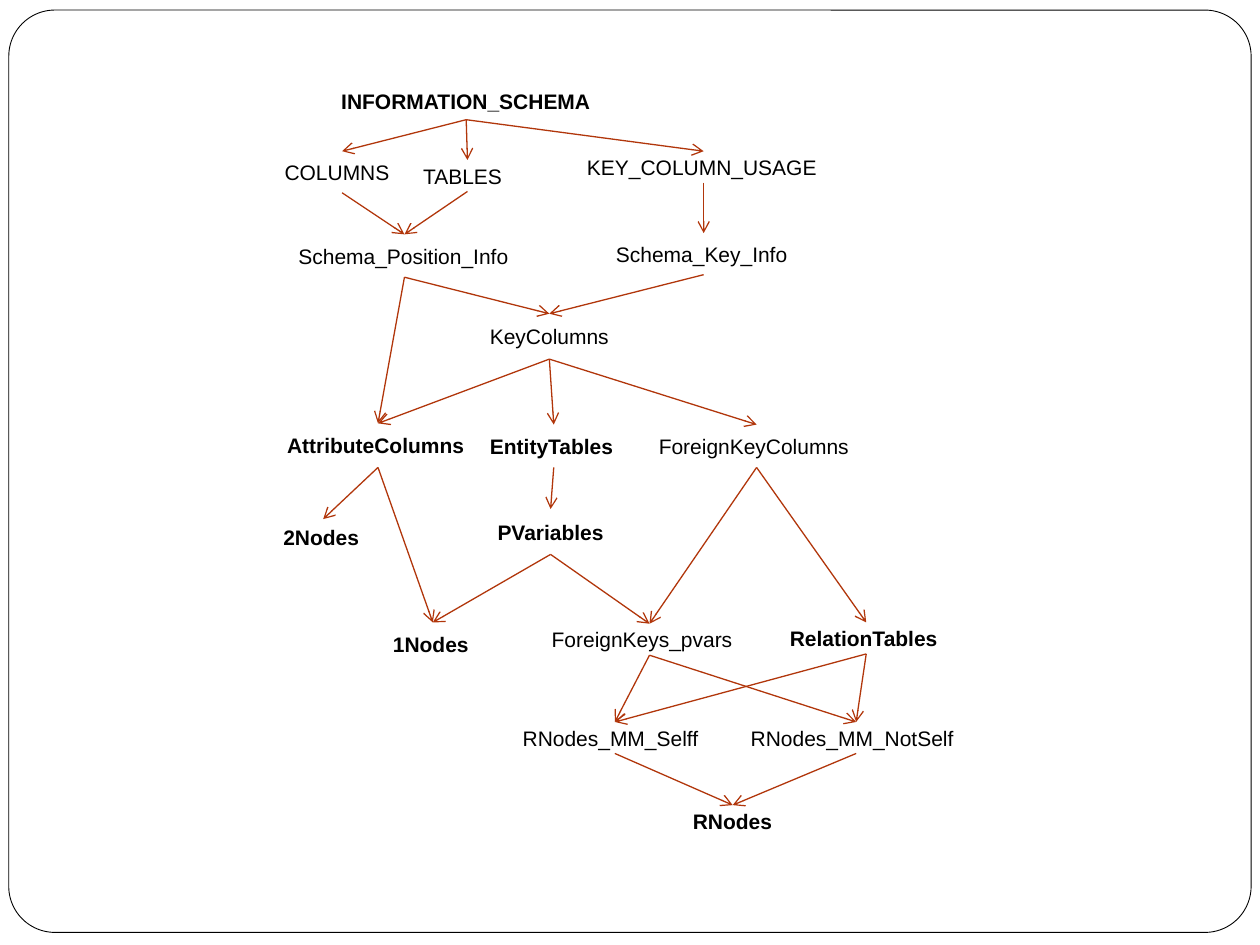
from lxml.etree import SubElement
from pptx import Presentation
from pptx.dml.color import RGBColor
from pptx.enum.shapes import MSO_CONNECTOR, MSO_SHAPE
from pptx.enum.text import MSO_ANCHOR, PP_ALIGN
from pptx.oxml.ns import qn
from pptx.util import Inches, Pt

BLACK = RGBColor(0x00, 0x00, 0x00)
WHITE = RGBColor(0xFF, 0xFF, 0xFF)
RUST = RGBColor(0xB1, 0x36, 0x0B)
BOTTOM, TOP = 2, 0

TABLES = [
    ("INFORMATION_SCHEMA", 0.46, 0, 2.18, 0.3),
    ("COLUMNS", 0.01, 0.55, 1.11, 0.33),
    ("TABLES", 1.11, 0.62, 0.9, 0.25),
    ("KEY_COLUMN_USAGE", 2.41, 0.55, 2.05, 0.25),
    ("Schema_Position_Info", 0.12, 1.21, 1.88, 0.34),
    ("Schema_Key_Info", 2.64, 1.2, 1.59, 0.33),
    ("KeyColumns", 1.42, 1.84, 1.58, 0.36),
    ("AttributeColumns", 0.03, 2.71, 1.64, 0.35),
    ("EntityTables", 1.64, 2.72, 1.21, 0.34),
    ("ForeignKeyColumns", 2.98, 2.72, 1.75, 0.34),
    ("2Nodes", 0, 3.47, 0.83, 0.28),
    ("PVariables", 1.51, 3.39, 1.42, 0.36),
    ("1Nodes", 0.87, 4.29, 0.83, 0.34),
    ("ForeignKeys_pvars", 2.13, 4.3, 1.75, 0.25),
    ("RelationTables", 4.02, 4.29, 1.41, 0.25),
    ("RNodes_MM_Selff", 1.9, 5.08, 1.66, 0.25),
    ("RNodes_MM_NotSelf", 3.71, 5.08, 1.87, 0.25),
    ("RNodes", 3.25, 5.74, 0.83, 0.26),
]
BOLD = {"INFORMATION_SCHEMA", "AttributeColumns", "EntityTables", "2Nodes",
        "PVariables", "1Nodes", "RelationTables", "RNodes"}
CENTERED = {"KeyColumns", "PVariables"}
DERIVED = {
    "INFORMATION_SCHEMA": ["COLUMNS", "TABLES", "KEY_COLUMN_USAGE"],
    "COLUMNS": ["Schema_Position_Info"],
    "TABLES": ["Schema_Position_Info"],
    "KEY_COLUMN_USAGE": ["Schema_Key_Info"],
    "Schema_Position_Info": ["KeyColumns", "AttributeColumns"],
    "Schema_Key_Info": ["KeyColumns"],
    "KeyColumns": ["AttributeColumns", "EntityTables", "ForeignKeyColumns"],
    "AttributeColumns": ["2Nodes", "1Nodes"],
    "EntityTables": ["PVariables"],
    "ForeignKeyColumns": ["ForeignKeys_pvars", "RelationTables"],
    "PVariables": ["1Nodes", "ForeignKeys_pvars"],
    "ForeignKeys_pvars": ["RNodes_MM_Selff", "RNodes_MM_NotSelf"],
    "RelationTables": ["RNodes_MM_Selff", "RNodes_MM_NotSelf"],
    "RNodes_MM_Selff": ["RNodes"],
    "RNodes_MM_NotSelf": ["RNodes"],
}


def add_text(slide, text, left, top, width, height, *, size=12, bold=False,
             align=PP_ALIGN.LEFT, color=BLACK):
    label = slide.shapes.add_textbox(left, top, width, height)
    frame = label.text_frame
    frame.word_wrap = True
    frame.vertical_anchor = MSO_ANCHOR.MIDDLE
    paragraph = frame.paragraphs[0]
    paragraph.alignment = align
    run = paragraph.add_run()
    run.text = text
    run.font.name = "Arial"
    run.font.size = Pt(size)
    run.font.bold = bold
    run.font.color.rgb = color
    return label


def add_arrow(slide, source, target):
    arrow = slide.shapes.add_connector(MSO_CONNECTOR.STRAIGHT, 0, 0, 0, 0)
    arrow.begin_connect(source, BOTTOM)
    arrow.end_connect(target, TOP)
    arrow.line.color.rgb = RUST
    arrow.line.width = Pt(0.75)
    SubElement(arrow.line._get_or_add_ln(), qn("a:tailEnd"), type="arrow")
    SubElement(arrow._element.spPr, qn("a:effectLst"))


def add_border(slide, left, top, width, height):
    border = slide.shapes.add_shape(MSO_SHAPE.ROUNDED_RECTANGLE, left, top, width, height)
    border.adjustments[0] = 0.05
    border.shadow.inherit = False
    border.fill.solid()
    border.fill.fore_color.rgb = WHITE
    border.line.color.rgb = BLACK
    border.line.width = Pt(0.5)


def add_dependency_graph(slide, left, top):
    labels = {}
    for name, x, y, width, height in TABLES:
        labels[name] = add_text(
            slide, name, left + Inches(x), top + Inches(y), Inches(width), Inches(height),
            bold=name in BOLD,
            align=PP_ALIGN.CENTER if name in CENTERED else PP_ALIGN.LEFT)
    for source, targets in DERIVED.items():
        for target in targets:
            add_arrow(slide, labels[source], labels[target])


def main():
    presentation = Presentation()
    presentation.slide_width = Inches(10)
    presentation.slide_height = Inches(7.5)
    slide = presentation.slides.add_slide(presentation.slide_layouts[6])
    add_border(slide, Inches(0.07), Inches(0.08), Inches(9.86), Inches(7.32))
    add_dependency_graph(slide, Inches(2.15), Inches(0.65))
    presentation.save("out.pptx")


if __name__ == "__main__":
    main()
